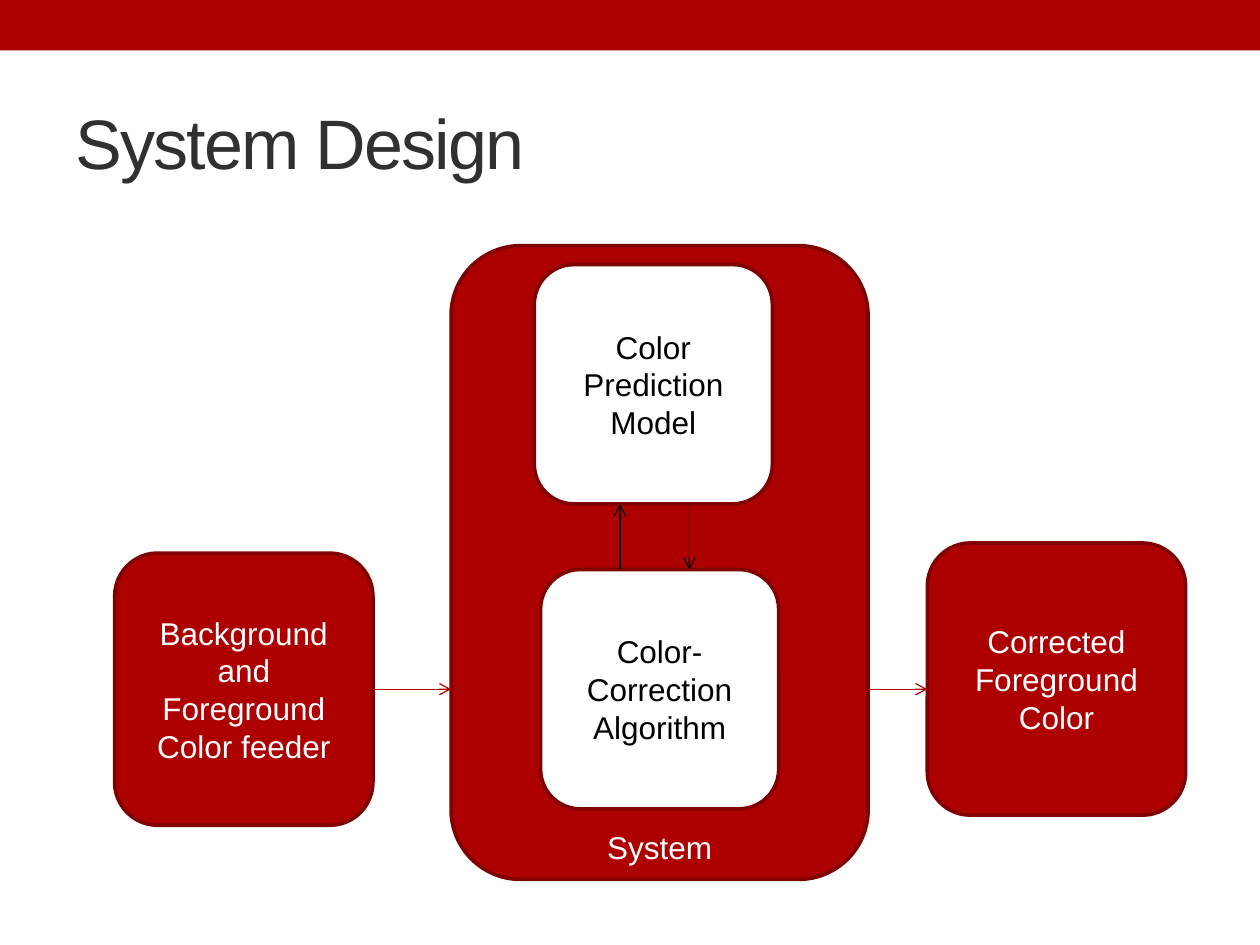
from pptx import Presentation
from pptx.dml.color import RGBColor
from pptx.enum.shapes import MSO_CONNECTOR, MSO_SHAPE
from pptx.enum.text import MSO_ANCHOR as ANCHOR, PP_ALIGN as ALIGN
from pptx.oxml.ns import qn
from pptx.util import Inches, Pt
from lxml.etree import SubElement

RED = RGBColor(0xAD, 0x01, 0x01)
DARK_RED = RGBColor(0x80, 0x01, 0x01)
GRAY = RGBColor(0x30, 0x30, 0x30)
WHITE = RGBColor(255, 255, 255)
BLACK = RGBColor(0, 0, 0)

TITLE = "System Design"
INNER = (1.89, 1.9)
OUTER = (2.05, 2.16)
BOXES = [
    ("System", (3.58, 1.95), (3.31, 5.03), RED, WHITE),
    ("Color Prediction Model", (4.24, 2.1), INNER, WHITE, BLACK),
    ("Color-Correction Algorithm", (4.29, 4.52), INNER, WHITE, BLACK),
    ("Background and Foreground Color feeder", (0.91, 4.39), OUTER, RED, WHITE),
    ("Corrected Foreground Color", (7.36, 4.31), OUTER, RED, WHITE),
]
ARROWS = [
    ((2.96, 5.47), (3.58, 5.47), RED),
    ((4.92, 4.52), (4.92, 4), BLACK),
    ((5.47, 4), (5.47, 4.52), BLACK),
    ((6.89, 5.47), (7.36, 5.47), RED),
]


def write(shape, text, size=18, color=BLACK, align=ALIGN.CENTER,
          anchor=ANCHOR.MIDDLE, spacing=None):
    tf = shape.text_frame
    tf.word_wrap = True
    tf.vertical_anchor = anchor
    p = tf.paragraphs[0]
    p.alignment = align
    r = p.add_run()
    r.text = text
    r.font.name = "Arial"
    r.font.size = Pt(size)
    r.font.color.rgb = color
    if spacing is not None:
        r.font._element.set("spc", str(spacing * 100))


def add_box(s, kind, at, size, fill, line=None):
    sp = s.shapes.add_shape(kind, *map(Inches, at + size))
    sp.shadow.inherit = False
    sp.fill.solid()
    sp.fill.fore_color.rgb = fill
    if line is None:
        sp.line.fill.background()
    else:
        sp.line.color.rgb = line
        sp.line.width = Pt(2.08)
    return sp


def add_arrow(s, start, end, color):
    c = s.shapes.add_connector(MSO_CONNECTOR.STRAIGHT, *map(Inches, start + end))
    c.line.color.rgb = color
    c.line.width = Pt(0.75)
    SubElement(c.line._get_or_add_ln(), qn("a:tailEnd"), type="arrow")
    SubElement(c._element.spPr, qn("a:effectLst"))
    return c


def main():
    prs = Presentation()
    prs.slide_width, prs.slide_height = Inches(10), Inches(7.5)
    s = prs.slides.add_slide(prs.slide_layouts[6])

    add_box(s, MSO_SHAPE.RECTANGLE, (0, 0), (10, 0.4), RED)
    title = s.shapes.add_textbox(*map(Inches, (0.5, 0.58, 9, 1.08)))
    write(title, TITLE, size=40, color=GRAY, align=ALIGN.LEFT, spacing=-1)

    boxes = {}
    for text, at, size, fill, color in BOXES:
        sp = add_box(s, MSO_SHAPE.ROUNDED_RECTANGLE, at, size, fill, DARK_RED)
        anchor = ANCHOR.BOTTOM if text == "System" else ANCHOR.MIDDLE
        write(sp, text, color=color, anchor=anchor)
        boxes[text] = sp
    boxes["System"].text_frame.margin_bottom = Inches(-0.05)

    arrows = [add_arrow(s, *arrow) for arrow in ARROWS]
    arrows[0].begin_connect(boxes["Background and Foreground Color feeder"], 3)

    prs.save("out.pptx")


if __name__ == "__main__":
    main()
